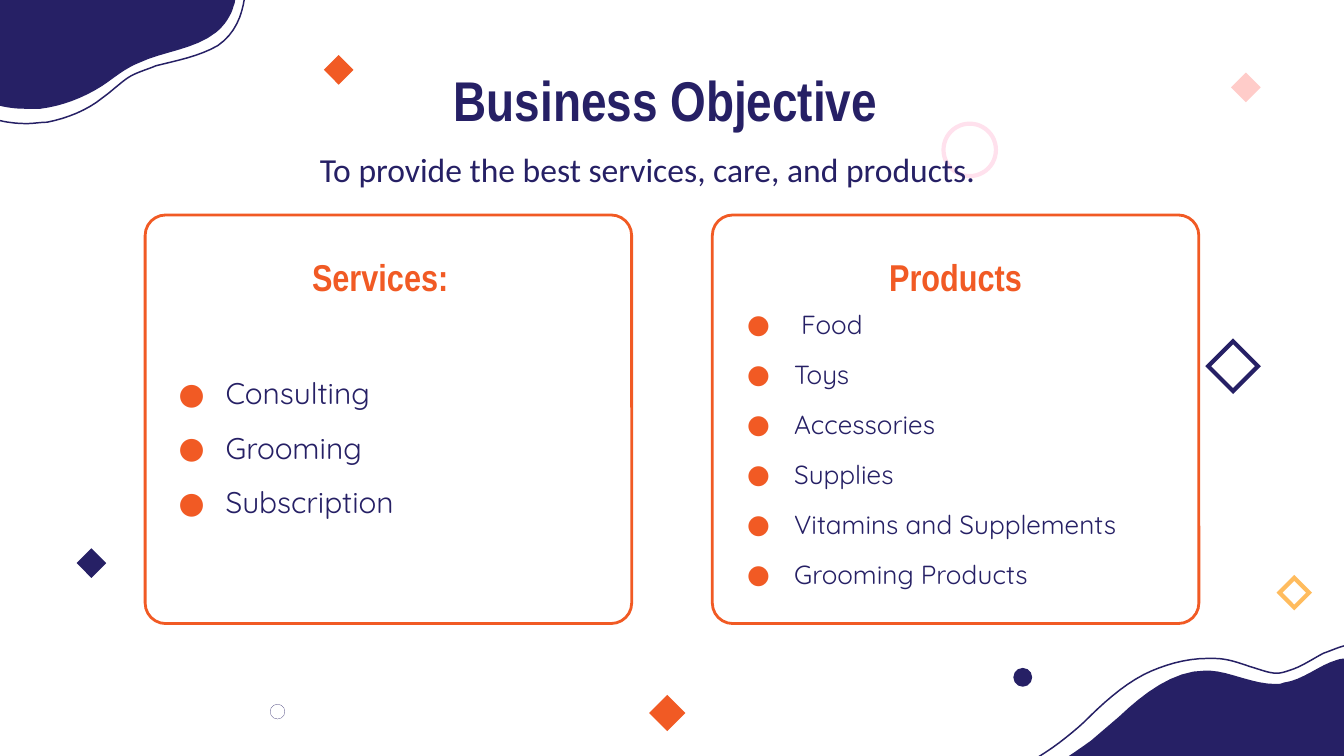
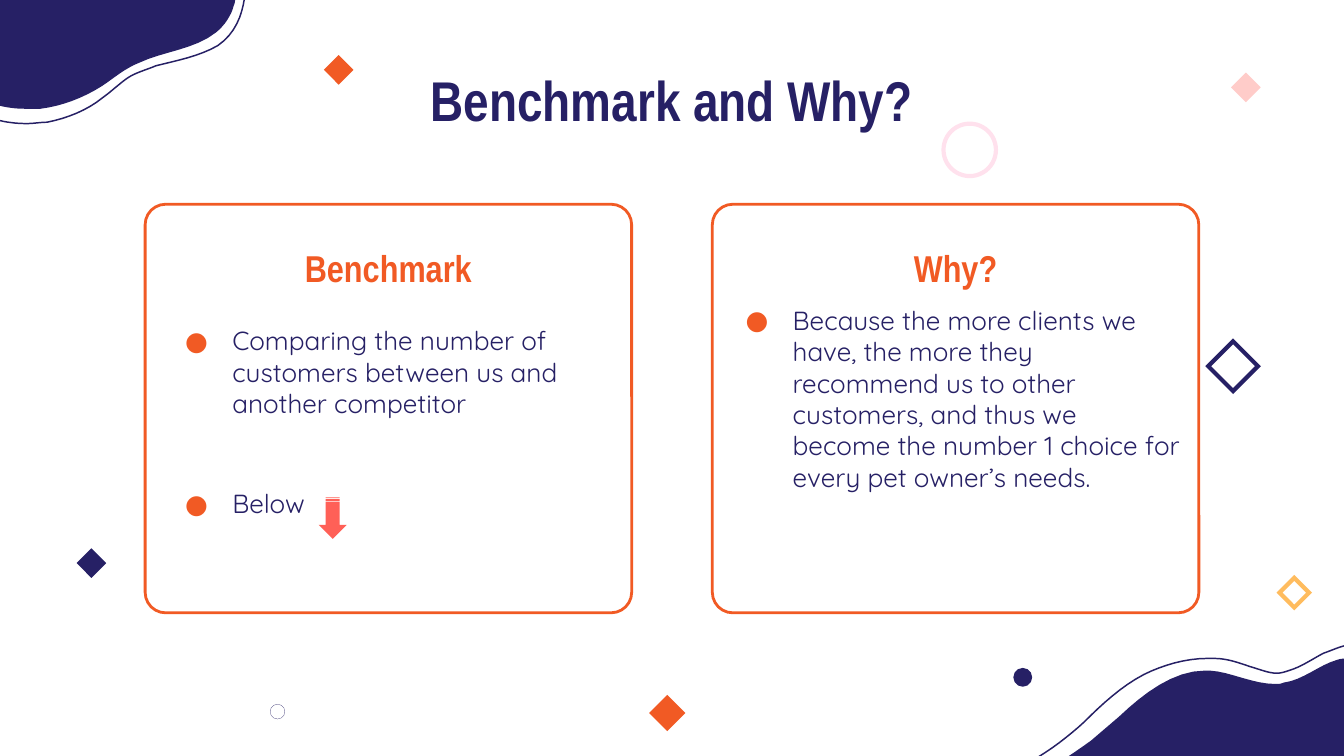
"""Builds two pet-business slides: the objective, and the benchmark with its reason."""
from dataclasses import dataclass
from typing import NamedTuple, Optional

from lxml import etree
from pptx import Presentation
from pptx import util as u
from pptx.dml.color import RGBColor
from pptx.enum import shapes, text
from pptx.oxml import ns

PX = 9144
SLIDE_WIDTH = 1000 * PX
SLIDE_HEIGHT = SLIDE_WIDTH * 9 // 16
NAVY = RGBColor(0x26, 0x20, 0x65)
ORANGE = RGBColor(0xF1, 0x5A, 0x24)
AMBER = RGBColor(0xFF, 0xBC, 0x5E)
PINK = RGBColor(0xFF, 0xCC, 0xC9)
BLUSH = RGBColor(0xFF, 0xE1, 0xED)
CORAL = RGBColor(0xFF, 0x60, 0x57)
TITLE_FONT, BODY_FONT, SUBTITLE_FONT = "Arial Narrow", "Quicksand", "Calibri"
DIAMOND, CIRCLE = shapes.MSO_SHAPE.DIAMOND, shapes.MSO_SHAPE.OVAL
CENTER = text.PP_ALIGN.CENTER
PANEL_LEFTS = (108, 530)
PANEL_WIDTH, PANEL_HEIGHT = 362, 304
HARD_SPACE = chr(160)


class Box(NamedTuple):
    left: int
    top: int
    width: int
    height: int

    def emu(self) -> list[int]:
        return [u.Emu(side * PX) for side in self]


class Ornament(NamedTuple):
    kind: shapes.MSO_SHAPE
    left: int
    top: int
    size: int
    fill: Optional[RGBColor] = None
    line: Optional[RGBColor] = None
    weight: float = 2.25


class Wave(NamedTuple):
    curve: tuple[tuple[int, int], ...]
    corner: Optional[tuple[int, int]] = None


class Style(NamedTuple):
    font: str
    size: int
    color: RGBColor
    bold: bool = False


@dataclass
class Panel:
    heading: str
    items: list[str]
    list_box: Box
    size: int = 14
    gap: int = 10
    heading_pad: int = 0


@dataclass
class Page:
    title: str
    panel_top: int
    heading_top: int
    panels: list[Panel]
    subtitle: str = ""
    arrow: Optional[Box] = None


ORNAMENTS = (
    Ornament(DIAMOND, 916, 54, 22, PINK),
    Ornament(CIRCLE, 201, 524, 11, line=NAVY, weight=0.1),
    Ornament(DIAMOND, 952, 430, 22, line=AMBER),
    Ornament(DIAMOND, 241, 41, 22, ORANGE),
    Ornament(CIRCLE, 754, 497, 14, NAVY),
    Ornament(CIRCLE, 702, 92, 39, line=BLUSH),
    Ornament(DIAMOND, 57, 408, 22, NAVY),
    Ornament(DIAMOND, 899, 254, 37, line=NAVY),
    Ornament(DIAMOND, 483, 517, 27, ORANGE),
)

WAVES = (
    Wave(((1003, 490), (1001, 490), (998, 490), (995, 491),
          (981, 495), (970, 506), (955, 508), (953, 509), (951, 509), (949, 509),
          (932, 509), (916, 500), (900, 499), (899, 499), (898, 499), (897, 499),
          (873, 499), (851, 516), (833, 533), (826, 539), (819, 545), (812, 551),
          (805, 556), (798, 561), (790, 566)), (1003, 566)),
    Wave(((1003, 480), (997, 481), (991, 484), (985, 486),
          (977, 490), (969, 496), (959, 499), (956, 500), (953, 501), (950, 501),
          (944, 501), (937, 498), (930, 496), (921, 493), (913, 490), (904, 490),
          (902, 490), (900, 490), (898, 490), (882, 490), (865, 495), (851, 502),
          (834, 511), (820, 524), (807, 537), (795, 548), (782, 558), (768, 566))),
    Wave(((-3, 78), (4, 80), (11, 81), (19, 81), (23, 81), (26, 81), (30, 81),
          (46, 79), (62, 73), (76, 64), (85, 58), (93, 51), (103, 47),
          (122, 38), (145, 37), (161, 24), (167, 19), (172, 12), (174, 4),
          (175, 2), (175, 0), (175, -2)), (-3, -2)),
    Wave(((182, -2), (180, 12), (175, 25), (162, 34), (148, 42), (132, 45), (116, 49),
          (109, 52), (101, 54), (95, 58), (88, 63), (83, 68), (76, 73),
          (65, 82), (50, 88), (35, 91), (30, 91), (25, 92), (20, 92),
          (12, 92), (4, 91), (-3, 89))),
)

PAGES = (
    Page("Business Objective ", 160, 179, [
        Panel("Services:", ["Consulting", "Grooming", "Subscription"],
              Box(108, 224, 362, 218), size=16, heading_pad=12),
        Panel("Products", [" Food", "Toys", "Accessories", "Supplies",
                           "Vitamins and Supplements", "Grooming Products"],
              Box(531, 226, 362, 216)),
    ], subtitle="To provide the best services, care, and products."),
    Page("Benchmark and Why?", 152, 172, [
        Panel("Benchmark",
              ["Comparing the number of customers between us and another competitor", "Below"],
              Box(113, 206, 362, 216), gap=37),
        Panel("Why?",
              ["Because the more clients we have, the more they recommend us to other customers, "
               f"and thus we become{HARD_SPACE}the number 1 choice for every pet owner’s needs."],
              Box(530, 206, 362, 181)),
    ], arrow=Box(232, 375, 31, 21)),
)


def paint(shape, fill: Optional[RGBColor] = None, line: Optional[RGBColor] = None,
          weight: float = 0.8) -> None:
    shape.shadow.inherit = False
    if fill is None:
        shape.fill.background()
    else:
        shape.fill.solid()
        shape.fill.fore_color.rgb = fill
    if line is None:
        shape.line.fill.background()
    else:
        shape.line.color.rgb = line
        shape.line.width = u.Pt(weight)
        outline = shape._element.spPr.find(ns.qn("a:ln"))
        etree.SubElement(outline, ns.qn("a:miter"), lim="800000")


def sample_curve(points: tuple[tuple[int, int], ...], steps: int = 8) -> list[tuple[int, int]]:
    sampled = [(points[0][0] * PX, points[0][1] * PX)]
    for first in range(0, len(points) - 1, 3):
        for step in range(1, steps + 1):
            t = step / steps
            weights = ((1 - t) ** 3, 3 * t * (1 - t) ** 2, 3 * t * t * (1 - t), t ** 3)
            segment = points[first:first + 4]
            sampled.append(tuple(
                round(PX * sum(w * point[axis] for w, point in zip(weights, segment)))
                for axis in (0, 1)))
    return sampled


def draw_wave(slide, wave: Wave) -> None:
    outline = sample_curve(wave.curve)
    if wave.corner:
        outline.append((wave.corner[0] * PX, wave.corner[1] * PX))
    builder = slide.shapes.build_freeform(*outline[0], scale=1.0)
    builder.add_line_segments(outline[1:], close=wave.corner is not None)
    shape = builder.convert_to_shape()
    if wave.corner:
        paint(shape, fill=NAVY)
    else:
        paint(shape, line=NAVY)


def draw_ornament(slide, ornament: Ornament) -> None:
    box = Box(ornament.left, ornament.top, ornament.size, ornament.size)
    shape = slide.shapes.add_shape(ornament.kind, *box.emu())
    paint(shape, ornament.fill, ornament.line, ornament.weight)


def add_bullet(paragraph) -> None:
    properties = paragraph._p.get_or_add_pPr()
    properties.set("marL", str(50 * PX))
    properties.set("indent", str(-35 * PX))
    bullet_color = etree.SubElement(properties, ns.qn("a:buClr"))
    etree.SubElement(bullet_color, ns.qn("a:srgbClr"), val=str(ORANGE))
    etree.SubElement(properties, ns.qn("a:buFont"), typeface=BODY_FONT)
    etree.SubElement(properties, ns.qn("a:buChar"), char="●")


def add_text(slide, box: Box, lines: list[str], style: Style, align=None,
             bullets: bool = False, gap: int = 0, right_pad: int = 0):
    frame = slide.shapes.add_textbox(*box.emu()).text_frame
    frame.word_wrap = True
    frame.vertical_anchor = text.MSO_ANCHOR.MIDDLE
    frame.margin_left = frame.margin_top = frame.margin_bottom = 10 * PX
    frame.margin_right = (10 + right_pad) * PX
    for index, line in enumerate(lines):
        paragraph = frame.add_paragraph() if index else frame.paragraphs[0]
        paragraph.text = line
        paragraph.alignment = align
        if bullets:
            add_bullet(paragraph)
        if index:
            paragraph.space_before = u.Pt(gap)
        font = paragraph.font
        font.name, font.size, font.bold = style.font, u.Pt(style.size), style.bold
        font.color.rgb = style.color
    return frame


def draw_panel(slide, page: Page, panel: Panel, left: int) -> None:
    add_text(slide, panel.list_box, panel.items, Style(BODY_FONT, panel.size, NAVY),
             bullets=True, gap=panel.gap)
    add_text(slide, Box(left, page.heading_top, PANEL_WIDTH, 54), [panel.heading],
             Style(TITLE_FONT, 20, ORANGE, True), CENTER, right_pad=panel.heading_pad)
    border_box = Box(left, page.panel_top, PANEL_WIDTH, PANEL_HEIGHT)
    border = slide.shapes.add_shape(shapes.MSO_SHAPE.ROUNDED_RECTANGLE, *border_box.emu())
    border.adjustments[0] = 0.05
    paint(border, line=ORANGE, weight=1.5)


def draw_page(slide, page: Page) -> None:
    for ornament in ORNAMENTS:
        draw_ornament(slide, ornament)
    for wave in WAVES:
        draw_wave(slide, wave)
    for panel, left in zip(page.panels, PANEL_LEFTS):
        draw_panel(slide, page, panel, left)
    add_text(slide, Box(78, 53, 844, 41), [page.title],
             Style(TITLE_FONT, 30, NAVY, True), CENTER)
    if page.subtitle:
        frame = add_text(slide, Box(211, 106, 578, 64), [page.subtitle],
                         Style(SUBTITLE_FONT, 18, NAVY))
        frame.vertical_anchor = text.MSO_ANCHOR.TOP
        frame.margin_left = 27 * PX
        frame.margin_top = frame.margin_bottom = 5 * PX
    if page.arrow:
        arrow = slide.shapes.add_shape(shapes.MSO_SHAPE.STRIPED_RIGHT_ARROW, *page.arrow.emu())
        arrow.rotation = 90
        paint(arrow, fill=CORAL)


def main() -> None:
    deck = Presentation()
    deck.slide_width, deck.slide_height = u.Emu(SLIDE_WIDTH), u.Emu(SLIDE_HEIGHT)
    for page in PAGES:
        draw_page(deck.slides.add_slide(deck.slide_layouts[6]), page)
    deck.save("out.pptx")


if __name__ == "__main__":
    main()
